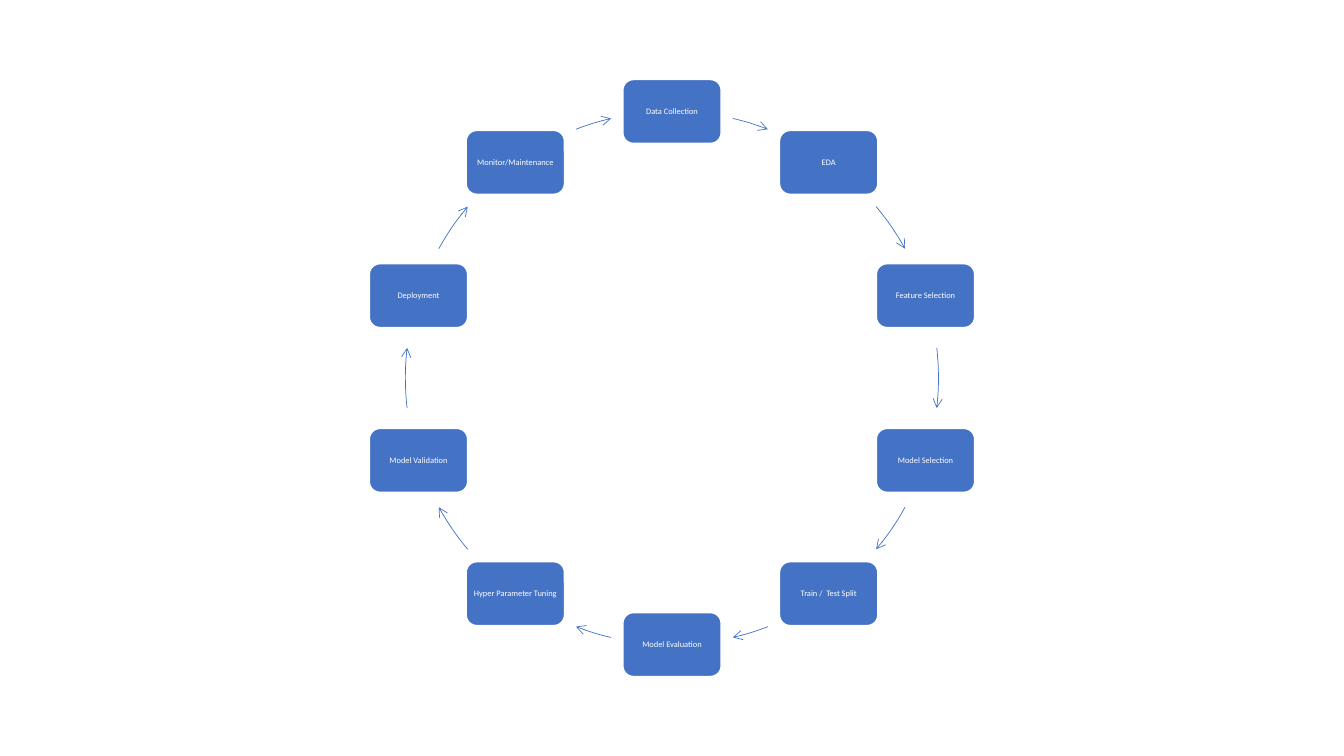
import math

from lxml import etree
from pptx import Presentation
from pptx.dml.color import RGBColor
from pptx.enum import shapes, text
from pptx.oxml.ns import qn
from pptx.util import Pt

STAGES = [
    "Data Collection", "EDA", "Feature Selection", "Model Selection",
    "Train /  Test Split", "Model Evaluation", "Hyper Parameter Tuning",
    "Model Validation", "Deployment", "Monitor/Maintenance",
]
# Arrow start and end, in degrees clockwise from the top of the ring;
# the left half repeats the right half turned by 180 degrees.
RIGHT_ARROWS = [(13.2, 21.1), (50, 61), (83.5, 96.5), (119, 130), (158.9, 166.8)]
ARROWS = [(start + turn, end + turn) for turn in (0, 180) for start, end in RIGHT_ARROWS]

BLUE, WHITE = "4472C4", "FFFFFF"
SLIDE_W, SLIDE_H = 960, 540
CENTER_X, CENTER_Y = SLIDE_W / 2, SLIDE_H / 2
RADIUS = 190.4
BOX_W, BOX_H = 70.2, 45.6


def color(value):
    """Turn a hex string into a colour."""
    return RGBColor.from_string(value)


def add_centered(page, kind, x, y, width, height, line, weight):
    """Add an outlined shape without shadow around a centre point."""
    shape = page.shapes.add_shape(
        kind, Pt(x - width / 2), Pt(y - height / 2), Pt(width), Pt(height))
    shape.shadow.inherit = False
    shape.line.color.rgb = color(line)
    shape.line.width = Pt(weight)
    return shape


def add_stage(page, label, angle):
    """Add one labelled stage box at an angle on the ring."""
    x = CENTER_X + RADIUS * math.sin(angle)
    y = CENTER_Y - RADIUS * math.cos(angle)
    box = add_centered(page, shapes.MSO_SHAPE.ROUNDED_RECTANGLE,
                       x, y, BOX_W, BOX_H, WHITE, 1)
    box.fill.solid()
    box.fill.fore_color.rgb = color(BLUE)
    frame = box.text_frame
    frame.text = label
    frame.word_wrap = True
    frame.vertical_anchor = text.MSO_ANCHOR.MIDDLE
    frame.margin_left = frame.margin_right = Pt(2)
    frame.margin_top = frame.margin_bottom = Pt(2)
    para = frame.paragraphs[0]
    para.alignment = text.PP_ALIGN.CENTER
    para.line_spacing = 0.9
    font = para.runs[0].font
    font.name, font.size = "Calibri", Pt(6)
    font.color.rgb = color(WHITE)


def add_arrow(page, start, end):
    """Add a curved arrow along the ring between two angles."""
    arc = add_centered(page, shapes.MSO_SHAPE.ARC, CENTER_X, CENTER_Y,
                       2 * RADIUS, 2 * RADIUS, BLUE, 0.5)
    arc.fill.background()
    for index, degrees in enumerate((start, end)):
        # Arc angles run from three o'clock in 60000ths of a degree.
        arc.adjustments[index] = (degrees - 90) % 360 * 0.6
    etree.SubElement(arc.line._get_or_add_ln(), qn("a:tailEnd"), type="arrow")


deck = Presentation()
deck.slide_width, deck.slide_height = Pt(SLIDE_W), Pt(SLIDE_H)
page = deck.slides.add_slide(deck.slide_layouts[6])
for number, (label, arrow) in enumerate(zip(STAGES, ARROWS)):
    add_stage(page, label, math.tau * number / len(STAGES))
    add_arrow(page, *arrow)
deck.save("out.pptx")
